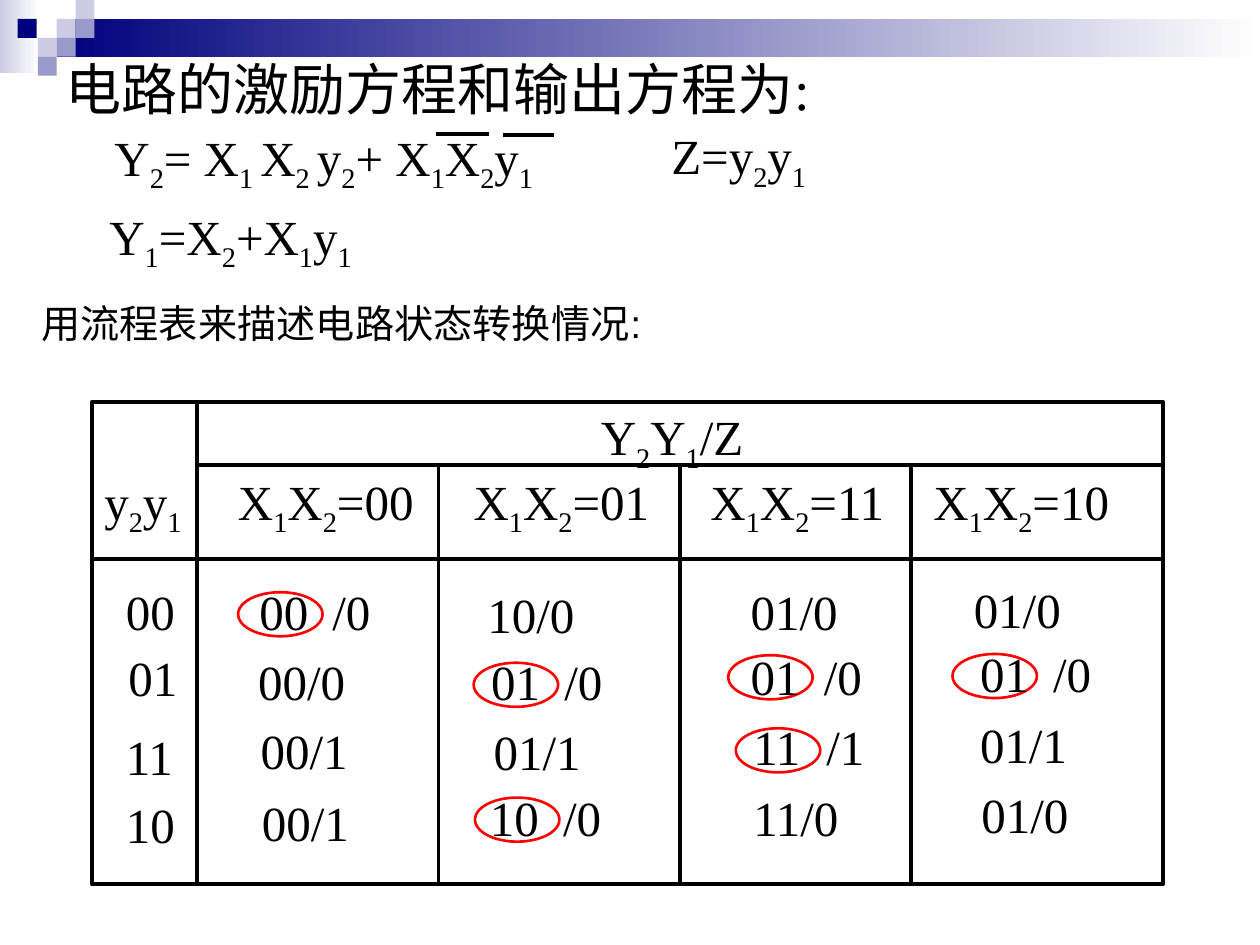
from dataclasses import dataclass

from lxml.etree import SubElement
from pptx import Presentation
from pptx.dml.color import RGBColor
from pptx.enum.shapes import MSO_CONNECTOR, MSO_SHAPE
from pptx.enum.text import MSO_AUTO_SIZE
from pptx.oxml.ns import qn
from pptx.util import Inches, Pt


@dataclass(frozen=True)
class Theme:
    ink: RGBColor = RGBColor(0, 0, 0)
    ring: RGBColor = RGBColor(255, 0, 0)
    white: RGBColor = RGBColor(255, 255, 255)
    navy: RGBColor = RGBColor(0, 0, 0x7D)
    lilac: RGBColor = RGBColor(0x99, 0x99, 0xCC)
    pale: RGBColor = RGBColor(0xCC, 0xCC, 0xE6)
    formula_font: str = "Times New Roman"
    title_font: str = "Montserrat"
    body_font: str = "Arial"
    formula_size: float = 28
    title_size: float = 32
    body_size: float = 22.4
    grid_width: float = 2.25
    ring_width: float = 1.5


THEME = Theme()
TILE = 0.15
RING_SIZE = (0.67, 0.35)
STATE_TAB = 0.58
CELL_WIDTHS = {2: 0.59, 4: 0.89, 5: 1.08}

TILES = [
    (0.45, 0.15, THEME.pale), (0.6, 0, THEME.pale), (0.6, 0.15, THEME.lilac),
    (0.3, 0.3, THEME.pale), (0.14, 0.15, THEME.navy),
    (0.45, 0.3, THEME.lilac), (0.3, 0.45, THEME.lilac),
]
FORMULAS = [
    ("Y{2}= X{1 }X{2 }y{2}+ X{1}X{2}y{1}", 0.81, 0.96, 3.52),
    ("Y{1}=X{2}+X{1}y{1}", 0.77, 1.59, 2.2),
    ("Z=y{2}y{1}", 5.23, 0.95, 1.27),
]
OVERBARS = [(3.46, 1.06, 3.88, 1.06), (3.99, 1.07, 4.4, 1.07)]

TABLE_LEFT, TABLE_TOP, TABLE_RIGHT, TABLE_BOTTOM = 0.73, 3.19, 9.23, 7.02
STATE_EDGE, INPUT_EDGES = 1.56, (3.48, 5.4, 7.23)
INPUT_TOP, BODY_TOP = 3.69, 4.44
HEADERS = [
    ("Y{2}Y{1}/Z", 4.67, 3.18, 1.33),
    ("y{2}y{1}", TABLE_LEFT, INPUT_TOP, 0.83),
]
INPUTS = [("00", 1.79), ("01", 3.66), ("11", 5.54), ("10", 7.31)]
STATE_COLUMNS = [
    [("00", 0.9, 4.57), ("01", 0.92, 5.09), ("11", 0.9, 5.72), ("10", 0.9, 6.26)],
    [("00\t/0", 1.96, 4.57), ("00/0", 1.95, 5.12), ("00/1", 1.97, 5.67), ("00/1", 1.98, 6.24)],
    [("10/0", 3.77, 4.59), ("01\t/0", 3.8, 5.12), ("01/1", 3.82, 5.68), ("10\t/0", 3.79, 6.2)],
    [("01/0", 5.86, 4.57), ("01\t/0", 5.86, 5.08), ("11\t/1", 5.88, 5.64), ("11/0", 5.88, 6.2)],
    [("01/0", 7.63, 4.55), ("01\t/0", 7.68, 5.06), ("01/1", 7.68, 5.62), ("01/0", 7.69, 6.18)],
]
RINGS = [(1.89, 4.7), (3.76, 5.26), (3.77, 6.33), (5.78, 5.2), (5.84, 5.78), (7.56, 5.19)]


def apply_format(target, values):
    for name, value in values.items():
        setattr(target, name, value)


def add_block(slide, left, top, width, height, color, fades=False):
    shape = slide.shapes.add_shape(
        MSO_SHAPE.RECTANGLE, Inches(left), Inches(top), Inches(width), Inches(height))
    shape.shadow.inherit = False
    shape.line.fill.background()
    if fades:
        shape.fill.gradient()
        shape.fill.gradient_angle = 180
        for stop, stop_color, position in zip(
                shape.fill.gradient_stops, (THEME.white, color), (0, 1)):
            stop.color.rgb = stop_color
            stop.position = position
    else:
        shape.fill.solid()
        shape.fill.fore_color.rgb = color


def add_outline(slide, preset, left, top, width, height, color, line_width):
    shape = slide.shapes.add_shape(
        preset, Inches(left), Inches(top), Inches(width), Inches(height))
    shape.shadow.inherit = False
    shape.fill.background()
    shape.line.color.rgb = color
    shape.line.width = Pt(line_width)


def add_line(slide, *ends):
    connector = slide.shapes.add_connector(
        MSO_CONNECTOR.STRAIGHT, *(Inches(end) for end in ends))
    connector.line.color.rgb = THEME.ink
    connector.line.width = Pt(THEME.grid_width)
    SubElement(connector._element.spPr, qn("a:effectLst"))


def add_text_box(slide, left, top, width, height, wrap=False):
    shape = slide.shapes.add_textbox(
        Inches(left), Inches(top), Inches(width), Inches(height))
    apply_format(shape.text_frame, {
        "word_wrap": wrap,
        "auto_size": MSO_AUTO_SIZE.NONE if wrap else MSO_AUTO_SIZE.SHAPE_TO_FIT_TEXT,
    })
    return shape.text_frame.paragraphs[0]


def add_run(paragraph, text, font_name, size):
    run = paragraph.add_run()
    run.text = text
    apply_format(run.font, {"name": font_name, "size": Pt(size)})
    run.font.color.rgb = THEME.ink
    return run


def add_formula(slide, text, left, top, width):
    paragraph = add_text_box(slide, left, top, width, 0.63)
    for index, part in enumerate(text.replace("}", "{").split("{")):
        if part:
            run = add_run(paragraph, part, THEME.formula_font, THEME.formula_size)
            if index % 2:
                run._r.get_or_add_rPr().set("baseline", "-25000")


def add_state(slide, text, left, top):
    paragraph = add_text_box(slide, left, top, CELL_WIDTHS[len(text)], 0.57)
    if "\t" in text:
        tabs = SubElement(paragraph._p.get_or_add_pPr(), qn("a:tabLst"))
        SubElement(tabs, qn("a:tab"), pos=str(Inches(STATE_TAB)), algn="l")
    add_run(paragraph, text, THEME.formula_font, THEME.formula_size)


def add_banner(slide):
    add_block(slide, 0, 0, 0.31, 0.58, THEME.pale, fades=True)
    add_block(slide, 0.45, 0.15, 9.55, 0.3, THEME.navy, fades=True)
    for left, top, color in TILES:
        add_block(slide, left, top, TILE, TILE, color)


def add_headings(slide):
    title = add_text_box(slide, 0.42, 0.44, 6.21, 0.58)
    title.line_spacing = 0.9
    add_run(title, "电路的激励方程和输出方程为", THEME.title_font, THEME.title_size)
    add_run(title, ":", THEME.formula_font, THEME.title_size)
    body = add_text_box(slide, 0.23, 2.33, 7.25, 0.67, wrap=True)
    add_run(body, "用流程表来描述电路状态转换情况:", THEME.body_font, THEME.body_size)


def add_grid(slide):
    add_outline(slide, MSO_SHAPE.RECTANGLE, TABLE_LEFT, TABLE_TOP, TABLE_RIGHT - TABLE_LEFT,
                TABLE_BOTTOM - TABLE_TOP, THEME.ink, THEME.grid_width)
    add_line(slide, STATE_EDGE, TABLE_TOP, STATE_EDGE, TABLE_BOTTOM)
    add_line(slide, TABLE_LEFT, BODY_TOP, TABLE_RIGHT, BODY_TOP)
    add_line(slide, STATE_EDGE, INPUT_TOP, TABLE_RIGHT, INPUT_TOP)
    for edge in INPUT_EDGES:
        add_line(slide, edge, INPUT_TOP, edge, TABLE_BOTTOM)


def add_flow_table(slide):
    add_grid(slide)
    for header in HEADERS:
        add_formula(slide, *header)
    for bits, left in INPUTS:
        add_formula(slide, f"X{{1}}X{{2}}={bits}", left, INPUT_TOP, 1.62)
    for left, top in RINGS:
        add_outline(slide, MSO_SHAPE.OVAL, left, top, *RING_SIZE, THEME.ring, THEME.ring_width)
    for column in STATE_COLUMNS:
        for state in column:
            add_state(slide, *state)


def main():
    presentation = Presentation()
    apply_format(presentation, {"slide_width": Inches(10), "slide_height": Inches(7.5)})
    slide = presentation.slides.add_slide(presentation.slide_layouts[6])
    add_banner(slide)
    add_headings(slide)
    for formula in FORMULAS:
        add_formula(slide, *formula)
    for overbar in OVERBARS:
        add_line(slide, *overbar)
    add_flow_table(slide)
    presentation.save("out.pptx")


if __name__ == "__main__":
    main()
